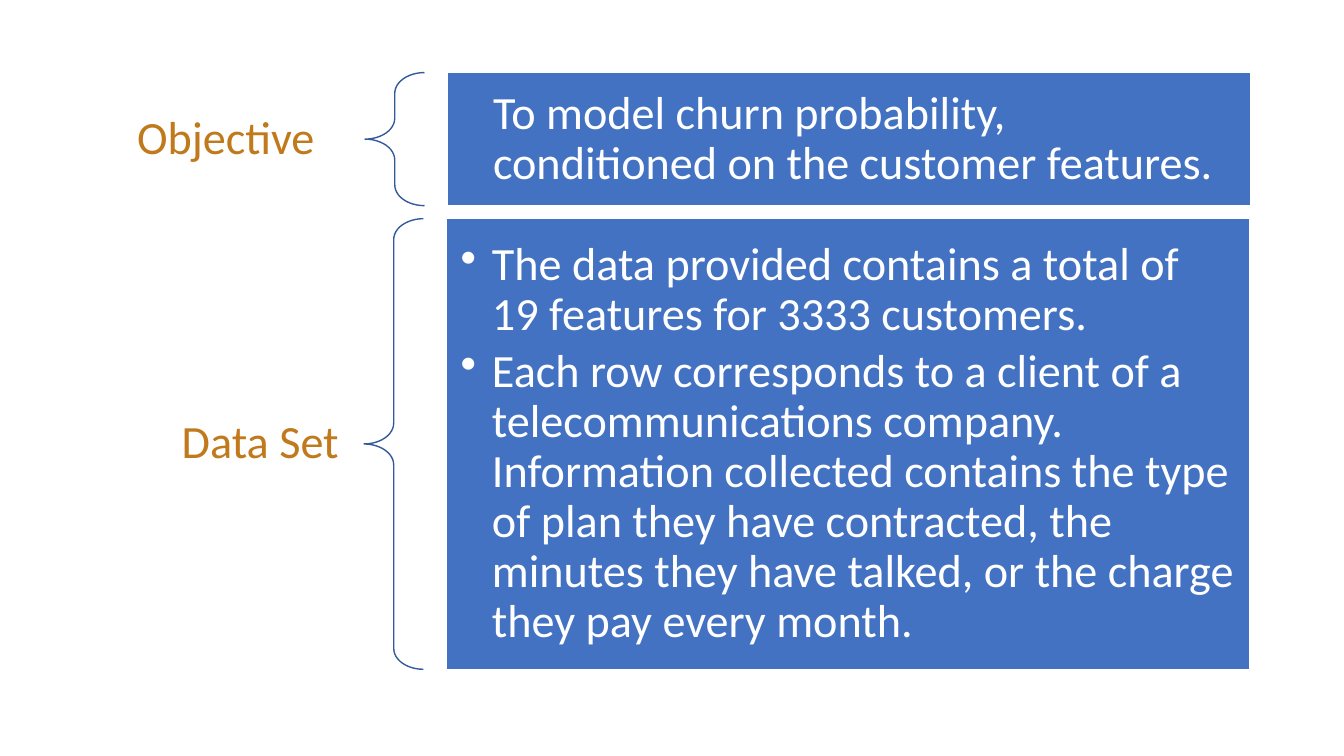
import pptx
import pptx.util
import pptx.dml.color
import pptx.enum.shapes
import pptx.enum.text
import pptx.oxml
import pptx.oxml.ns
from pptx.util import Inches

BLUE = pptx.dml.color.RGBColor(0x43, 0x72, 0xC3)
DARK_BLUE = pptx.dml.color.RGBColor(0x34, 0x5A, 0x99)
OCHRE = pptx.dml.color.RGBColor(0xC0, 0x79, 0x1B)
WHITE = pptx.dml.color.RGBColor(0xFF, 0xFF, 0xFF)

SHAPES = pptx.enum.shapes.MSO_SHAPE
ALIGN = pptx.enum.text.PP_ALIGN


def prepare_frame(box, sides, ends):
    frame = box.text_frame
    frame.word_wrap = True
    frame.vertical_anchor = pptx.enum.text.MSO_ANCHOR.MIDDLE
    frame.margin_left = frame.margin_right = Inches(sides)
    frame.margin_top = frame.margin_bottom = Inches(ends)
    return frame


def style_paragraph(para, text, color, align):
    para.text = text
    para.alignment = align
    para.line_spacing = 0.9
    para.font.size = pptx.util.Pt(33)
    para.font.name = "Calibri"
    para.font.color.rgb = color


def hang_paragraph(para, bulleted):
    properties = para._p.get_or_add_pPr()
    properties.set("marL", str(Inches(0.31)))
    properties.set("indent", str(Inches(-0.31 if bulleted else 0)))
    if bulleted:
        bullet = pptx.oxml.parse_xml(
            f'<a:buChar {pptx.oxml.ns.nsdecls("a")} char="•"/>')
        properties.append(bullet)


def add_label(page, text, right, middle):
    left, height = 0.69, 0.72
    box = page.shapes.add_textbox(Inches(left), Inches(middle - height / 2),
                                  Inches(right - left), Inches(height))
    frame = prepare_frame(box, 0.26, 0.09)
    style_paragraph(frame.paragraphs[0], text, OCHRE, ALIGN.RIGHT)


def add_brace(page, left, top, height):
    brace = page.shapes.add_shape(SHAPES.LEFT_BRACE, Inches(left), Inches(top),
                                  Inches(0.59), Inches(height))
    brace.shadow.inherit = False
    brace.adjustments[0] = 0.35
    brace.adjustments[1] = 0.5
    brace.fill.background()
    brace.line.color.rgb = DARK_BLUE
    brace.line.width = pptx.util.Pt(1)


def add_panel(page, left, top, height, texts, bulleted):
    panel = page.shapes.add_shape(SHAPES.RECTANGLE, Inches(left), Inches(top),
                                  Inches(7.97), Inches(height))
    panel.shadow.inherit = False
    panel.fill.solid()
    panel.fill.fore_color.rgb = BLUE
    panel.line.color.rgb = WHITE
    panel.line.width = pptx.util.Pt(1)
    frame = prepare_frame(panel, 0.14, 0.14)
    if not bulleted:
        frame.margin_right = Inches(0.25)
    for index, text in enumerate(texts):
        para = frame.add_paragraph() if index else frame.paragraphs[0]
        style_paragraph(para, text, WHITE, ALIGN.LEFT)
        if index:
            para.space_before = pptx.util.Pt(5)
        hang_paragraph(para, bulleted)


def add_section(page, label, label_right, left, top, height, texts, bulleted):
    add_label(page, label, label_right, top + height / 2)
    add_brace(page, left, top, height)
    add_panel(page, left + 0.82, top, height, texts, bulleted)


def main():
    deck = pptx.Presentation()
    deck.slide_width = Inches(13.33)
    deck.slide_height = Inches(7.5)
    page = deck.slides.add_slide(deck.slide_layouts[6])
    add_section(page, "Objective", 3.38, 3.62, 0.72, 1.32, [
        "To model churn probability, conditioned on the customer features.",
    ], False)
    add_section(page, "Data Set", 3.62, 3.61, 2.17, 4.47, [
        "The data provided contains a total of 19 features for 3333 customers.",
        "Each row corresponds to a client of a telecommunications company. "
        "Information collected contains the type of plan they have contracted, "
        "the minutes they have talked, or the charge they pay every month.",
    ], True)
    deck.save("out.pptx")


if __name__ == "__main__":
    main()
